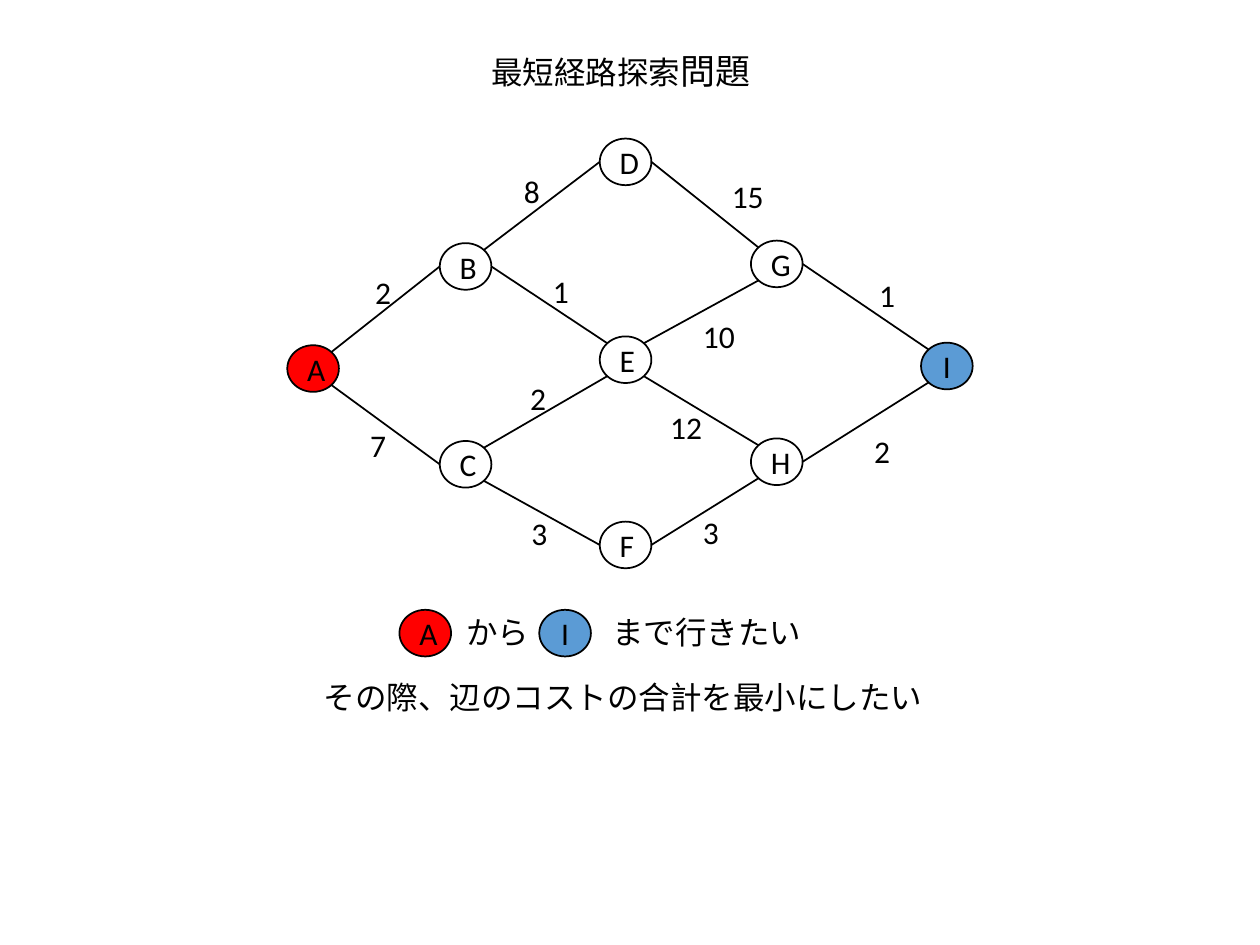
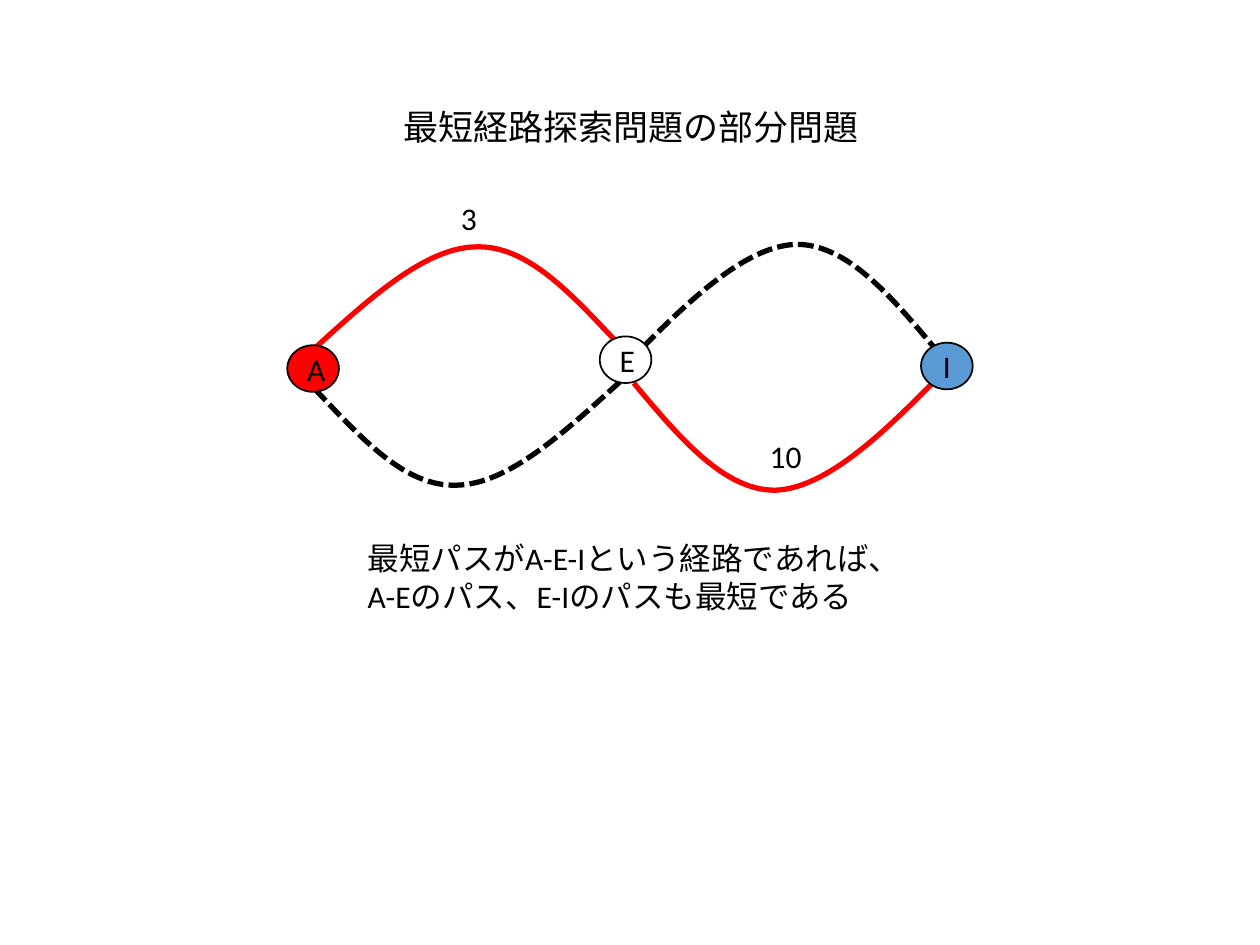
from dataclasses import dataclass

from pptx import Presentation
from pptx.dml.color import RGBColor
from pptx.enum.dml import MSO_LINE_DASH_STYLE as Dash
from pptx.enum.shapes import MSO_CONNECTOR as Connector, MSO_SHAPE as Shape
from pptx.enum.text import MSO_ANCHOR as Anchor, MSO_AUTO_SIZE as AutoSize, PP_ALIGN as Align
from pptx.oxml.ns import qn
from pptx.util import Inches, Pt


@dataclass(frozen=True)
class Theme:
    ink: RGBColor = RGBColor(0x00, 0x00, 0x00)
    start: RGBColor = RGBColor(0xFF, 0x00, 0x00)
    goal: RGBColor = RGBColor(0x5B, 0x9B, 0xD5)
    paper: RGBColor = RGBColor(0xFF, 0xFF, 0xFF)
    font: str = "Calibri"
    body: int = 18
    heading: int = 20
    edge_line: int = 1
    path_line: int = 3


@dataclass(frozen=True)
class Box:
    left: float
    top: float
    width: float
    height: float

    def inner(self, x, y, width, height):
        """Box placed at an offset from this one's corner."""
        return Box(self.left + x, self.top + y, width, height)

    def lengths(self):
        return [Inches(n) for n in (self.left, self.top, self.width, self.height)]


THEME = Theme()
GRAPH = Box(2.28, 1.1, 5.44, 3.41)
NODE_WIDTH, NODE_HEIGHT = 0.41, 0.37
LABEL_HEIGHT = 0.4
LABEL_WIDTHS = {1: 0.33, 2: 0.46}  # by number of digits

NODES = {
    "A": (0, 1.64), "B": (1.21, 0.83), "C": (1.21, 2.4),
    "D": (2.48, 0), "E": (2.48, 1.57), "F": (2.48, 3.04),
    "G": (3.68, 0.81), "H": (3.68, 2.38), "I": (5.03, 1.62),
}
NODE_FILLS = {"A": THEME.start, "I": THEME.goal}

# Start node and side, end node and side, cost, offset of the cost label
EDGES = [
    ("A", "NE", "B", "W", "2", (0.6, 1.02)),
    ("B", "NE", "D", "W", "8", (1.78, 0.22)),
    ("D", "E", "G", "NW", "15", (3.43, 0.26)),
    ("G", "E", "I", "NW", "1", (4.6, 1.04)),
    ("A", "SE", "C", "W", "7", (0.56, 2.23)),
    ("C", "SE", "F", "W", "3", (1.84, 2.93)),
    ("F", "E", "H", "SW", "3", (3.2, 2.92)),
    ("H", "E", "I", "SW", "2", (4.56, 2.28)),
    ("B", "E", "E", "NW", "1", (2.01, 1.01)),
    ("C", "NE", "E", "SW", "2", (1.83, 1.86)),
    ("E", "NE", "G", "SW", "10", (3.2, 1.37)),
    ("E", "SE", "H", "NW", "12", (2.94, 2.09)),
]

# Two joined Bezier curves each: controls and ends, as offsets from the start
ARC_AE = [(0.45, -0.41), (0.89, -0.81), (1.29, -0.82),
          (1.7, -0.84), (2.05, -0.45), (2.41, -0.07)]
ARC_EI = [(0.45, -0.46), (0.91, -0.91), (1.32, -0.93),
          (1.73, -0.94), (2.09, -0.51), (2.45, -0.08)]
# Arc, starting point before turning, rotation, is shortest
PATHS = [
    (ARC_AE, (0.2, 1.68), 0, True),
    (ARC_EI, (2.71, 1.77), 0, False),
    (ARC_AE, (0.23, 2.77), 180, False),
    (ARC_EI, (2.75, 2.8), 180, True),
]


def style_span(span, size):
    span.font.name = THEME.font
    span.font.size = Pt(size)
    span.font.color.rgb = THEME.ink


def fit_frame(frame):
    frame.word_wrap = False
    frame.auto_size = AutoSize.SHAPE_TO_FIT_TEXT
    frame.vertical_anchor = Anchor.TOP


def add_page(deck, box, *title_spans):
    """Add a slide whose title is made of (text, size) spans."""
    page = deck.slides.add_slide(deck.slide_layouts[5])
    title = page.shapes.title
    title.left, title.top, title.width, title.height = box.lengths()
    fit_frame(title.text_frame)
    para = title.text_frame.paragraphs[0]
    para.alignment = Align.LEFT
    for text, size in title_spans:
        span = para.add_run()
        span.text = text
        style_span(span, size)
    return page


def add_text(page, box, text):
    frame = page.shapes.add_textbox(*box.lengths()).text_frame
    frame.text = text
    fit_frame(frame)
    for para in frame.paragraphs:
        for span in para.runs:
            style_span(span, THEME.body)


def add_cost(page, box, cost, offset):
    add_text(page, box.inner(*offset, LABEL_WIDTHS[len(cost)], LABEL_HEIGHT), cost)


def add_node(page, box, name, offset, fill=None):
    node = page.shapes.add_shape(
        Shape.OVAL, *box.inner(*offset, NODE_WIDTH, NODE_HEIGHT).lengths())
    node.shadow.inherit = False
    if fill is None:
        node.fill.background()
    else:
        node.fill.solid()
        node.fill.fore_color.rgb = fill
    node.line.color.rgb = THEME.ink
    node.line.width = Pt(THEME.edge_line)
    frame = node.text_frame
    frame.text = name
    frame.vertical_anchor = Anchor.MIDDLE
    para = frame.paragraphs[0]
    para.alignment = Align.CENTER
    style_span(para.runs[0], THEME.body)


def rim_point(box, name, side):
    """Point on a node's outline in a compass direction."""
    across = ("E" in side) - ("W" in side)
    down = ("S" in side) - ("N" in side)
    reach = 0.5 / (across ** 2 + down ** 2) ** 0.5
    x, y = NODES[name]
    return (Inches(box.left + x + NODE_WIDTH * (0.5 + across * reach)),
            Inches(box.top + y + NODE_HEIGHT * (0.5 + down * reach)))


def add_edge(page, start, end):
    edge = page.shapes.add_connector(Connector.STRAIGHT, *start, *end)
    edge.line.color.rgb = THEME.ink
    edge.line.width = Pt(THEME.edge_line)
    properties = edge._element.spPr
    properties.append(properties.makeelement(qn("a:effectLst"), {}))


def bend_segments(freeform):
    """Turn every three straight segments into one cubic Bezier curve."""
    segments = list(freeform._element.iter(qn("a:lnTo")))
    for first in range(0, len(segments), 3):
        group = segments[first:first + 3]
        bend = group[0].makeelement(qn("a:cubicBezTo"), {})
        group[0].addprevious(bend)
        for segment in group:
            bend.append(segment[0])
            segment.getparent().remove(segment)


def add_path(page, box, arc, start, rotation, shortest):
    left, top = box.left + start[0], box.top + start[1]
    builder = page.shapes.build_freeform(Inches(left), Inches(top))
    builder.add_line_segments(
        [(Inches(left + x), Inches(top + y)) for x, y in arc], close=False)
    curve = builder.convert_to_shape()
    bend_segments(curve)
    curve.rotation = rotation
    curve.shadow.inherit = False
    curve.fill.background()
    curve.line.width = Pt(THEME.path_line)
    curve.line.color.rgb = THEME.start if shortest else THEME.ink
    if not shortest:
        curve.line.dash_style = Dash.SQUARE_DOT


def draw_graph(page, box):
    for name, offset in NODES.items():
        add_node(page, box, name, offset, NODE_FILLS.get(name))
    for start, start_side, end, end_side, *_ in EDGES:
        add_edge(page, rim_point(box, start, start_side), rim_point(box, end, end_side))
    for *_, cost, offset in EDGES:
        add_cost(page, box, cost, offset)


def draw_goal(page, box):
    """State the journey wanted, and what it should minimise."""
    add_node(page, box, "A", (0.7, 0.02), THEME.start)
    add_node(page, box, "I", (1.81, 0.02), THEME.goal)
    add_text(page, box.inner(1.13, 0, 0.71, LABEL_HEIGHT), "から")
    add_text(page, box.inner(2.29, 0, 1.72, LABEL_HEIGHT), "まで行きたい")
    add_text(page, box.inner(0, 0.51, 5, LABEL_HEIGHT),
             "その際、辺のコストの合計を最小にしたい")


def draw_subpaths(page, box):
    for path in PATHS:
        add_path(page, box, *path)
    for name in "AEI":
        add_node(page, box, name, NODES[name], NODE_FILLS.get(name, THEME.paper))
    add_cost(page, box, "3", (1.28, 0.43))
    add_cost(page, box, "10", (3.73, 2.32))


def main():
    deck = Presentation()
    deck.slide_width, deck.slide_height = Inches(10), Inches(7.5)

    page = add_page(deck, Box(3.8, 0.34, 2.28, 0.44),
                    ("最短経路探索", THEME.body), ("問題", THEME.heading))
    draw_graph(page, GRAPH)
    draw_goal(page, Box(2.47, 4.82, 5, 0.91))

    page = add_page(deck, Box(3.1, 0.79, 3.85, 0.44),
                    ("最短経路探索問題の部分問題", THEME.heading))
    draw_subpaths(page, GRAPH)
    add_text(page, Box(2.82, 4.23, 4.47, 0.71),
             "最短パスがA-E-Iという経路であれば、\nA-Eのパス、E-Iのパスも最短である")

    deck.save("out.pptx")


if __name__ == "__main__":
    main()
